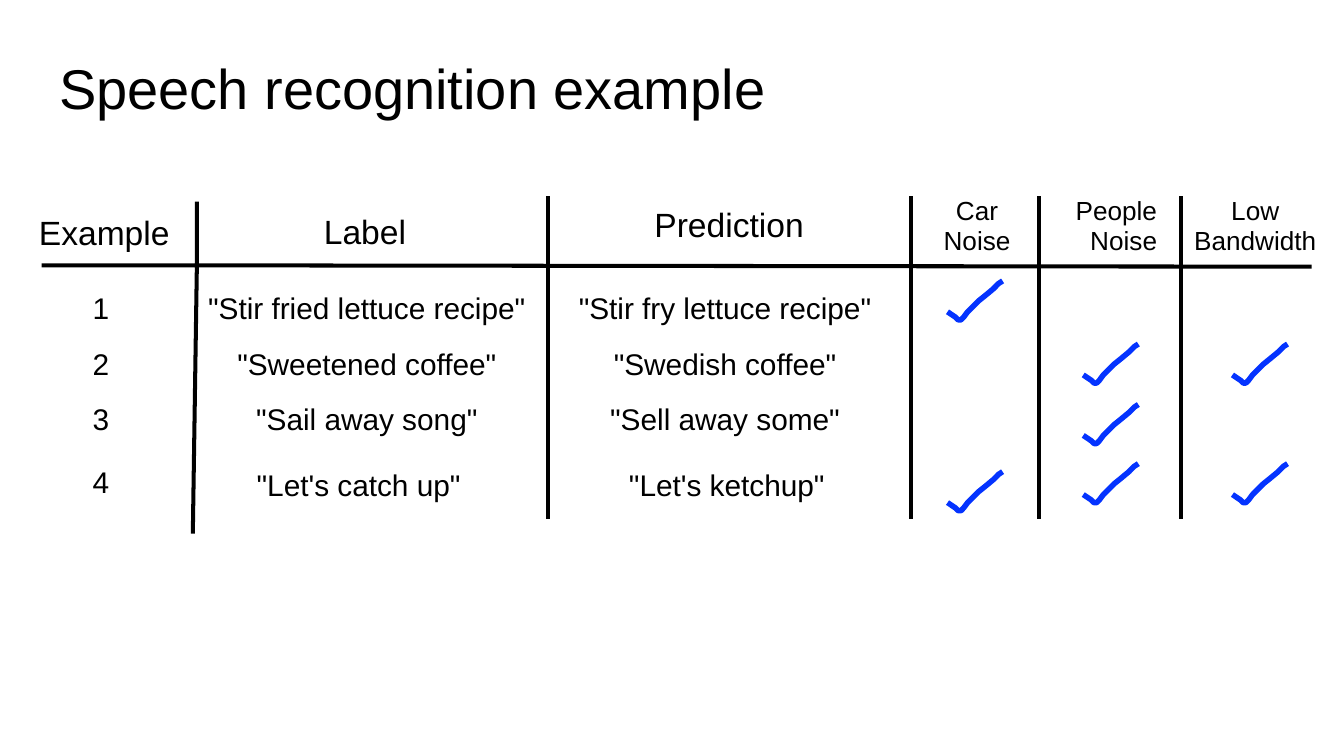
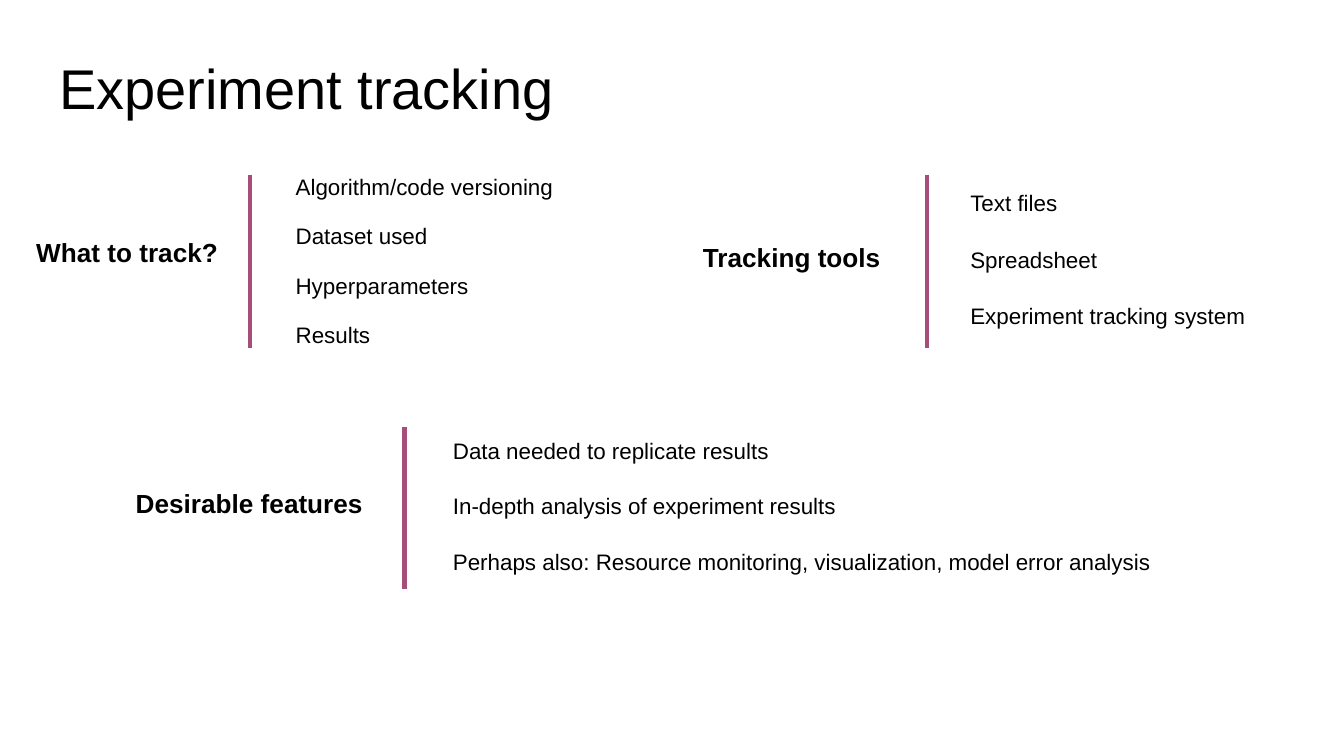
from lxml import etree
from pptx import Presentation
from pptx.dml.color import RGBColor
from pptx.enum.shapes import MSO_CONNECTOR
from pptx.enum.text import MSO_ANCHOR, MSO_AUTO_SIZE, PP_ALIGN as ALIGN
from pptx.oxml.ns import qn
from pptx.util import Inches, Pt

FONT = "Arial"
BLACK = RGBColor(0x00, 0x00, 0x00)
BLUE = RGBColor(0x04, 0x33, 0xFF)
PLUM = RGBColor(0xA6, 0x4D, 0x79)
RULE_WIDTH = 2.25

# Slide 1: (lines, box, size, alignment, exact line spacing)
HEADERS = [
    (["Example"], (0.28, 1.57, 1.0, 0.33), 18, ALIGN.LEFT, None),
    (["Label"], (2.4, 1.56, 0.64, 0.33), 18, ALIGN.LEFT, None),
    (["Prediction"], (4.86, 1.51, 1.14, 0.33), 18, ALIGN.LEFT, None),
    (["Car", "Noise"], (7.01, 1.45, 0.52, 0.48), 14, ALIGN.CENTER, 16),
    (["People", "Noise"], (7.99, 1.45, 0.63, 0.48), 14, ALIGN.RIGHT, 16),
    (["Low", "Bandwidth"], (8.87, 1.45, 0.94, 0.48), 14, ALIGN.CENTER, 16),
]
COLUMNS = [
    (["1", "2", "3"], (0.68, 2.0, 0.15, 1.28), 16, ALIGN.LEFT, 29.8),
    (['"Stir fried lettuce recipe"', '"Sweetened coffee"', '"Sail away song"'],
     (1.53, 2.0, 2.4, 1.28), 16, ALIGN.CENTER, 29.8),
    (['"Stir fry lettuce recipe"', '"Swedish coffee"', '"Sell away some"'],
     (4.29, 2.0, 2.21, 1.28), 16, ALIGN.CENTER, 29.8),
]
LAST_ROW = [
    (["4"], (0.68, 3.44, 0.15, 0.29), 16, ALIGN.LEFT, None),
    (['"Let\'s catch up"'], (1.9, 3.46, 1.55, 0.29), 16, ALIGN.LEFT, None),
    (['"Let\'s ketchup"'], (4.67, 3.46, 1.49, 0.29), 16, ALIGN.LEFT, None),
]
HEADER_RULE = [(9.76, 1.97), (1.48, 1.96), (1.48, 1.5), (1.45, 1.5), (1.45, 1.96),
               (0.31, 1.96), (0.31, 1.99), (1.45, 1.99), (1.42, 3.97), (1.45, 3.97),
               (1.48, 1.99), (9.76, 2.0)]
COLUMN_RULES = [4.08, 6.78, 7.73, 8.79]
CAR, PEOPLE, BANDWIDTH = 7.05, 8.06, 9.17
CHECKS = [(CAR, 2.09), (PEOPLE, 2.56), (BANDWIDTH, 2.56), (PEOPLE, 3.01),
          (CAR, 3.51), (PEOPLE, 3.45), (BANDWIDTH, 3.45)]
CHECK_STROKE = [(0, 0.23), (0.03, 0.25), (0.06, 0.27), (0.08, 0.29), (0.1, 0.29),
                (0.12, 0.27), (0.15, 0.23), (0.19, 0.19), (0.23, 0.15),
                (0.28, 0.11), (0.34, 0.06), (0.38, 0.02), (0.41, 0)]

# Slide 2: the items of each topic are (text, width)
TOPICS = [
    dict(heading="What to track?", box=(0.26, 1.75, 1.4, 0.26),
         bar=(1.86, 1.3, 2.59), left=2.19, tops=(1.28, 2.38),
         items=[("Algorithm/code versioning", 1.98), ("Dataset used", 1.05),
                ("Hyperparameters", 1.36), ("Results", 0.62)]),
    dict(heading="Tracking tools", box=(5.22, 1.79, 1.4, 0.26),
         bar=(6.9, 1.3, 2.59), left=7.21, tops=(1.4, 2.24),
         items=[("Text files", 0.72), ("Spreadsheet", 1.0),
                ("Experiment tracking system", 2.12)]),
    dict(heading="Desirable features", box=(1.0, 3.62, 1.76, 0.26),
         bar=(3.01, 3.18, 4.38), left=3.36, tops=(3.24, 4.07),
         items=[("Data needed to replicate results", 2.42),
                ("In-depth analysis of experiment results", 2.92),
                ("Perhaps also: Resource monitoring, visualization, "
                 "model error analysis", 5.28)]),
]


def fill_text(sp, lines, size, align=ALIGN.LEFT, spacing=None, bold=False):
    tf = sp.text_frame
    tf.word_wrap = True
    tf.auto_size = MSO_AUTO_SIZE.NONE
    tf.vertical_anchor = MSO_ANCHOR.TOP
    tf.margin_left = tf.margin_right = tf.margin_top = Inches(0.01)
    tf.margin_bottom = 0
    tf.text = "\n".join(lines)
    for p in tf.paragraphs:
        p.alignment = align
        p.space_before = Pt(0)
        if spacing:
            p.line_spacing = Pt(spacing)
        p.font.name, p.font.size, p.font.bold = FONT, Pt(size), bold
        p.font.color.rgb = BLACK


def add_text(s, lines, box, size, align=ALIGN.LEFT, spacing=None, bold=False):
    sp = s.shapes.add_textbox(*map(Inches, box))
    fill_text(sp, lines, size, align, spacing, bold)


def add_titled_slide(prs, title, width):
    s = prs.slides.add_slide(prs.slide_layouts[5])
    sp = s.shapes.title
    sp.left, sp.top, sp.width, sp.height = map(Inches, (0.43, 0.39, width, 0.53))
    fill_text(sp, [title], 30)
    return s


def add_vertical_rule(s, x, top, bottom, color):
    line = s.shapes.add_connector(MSO_CONNECTOR.STRAIGHT, Inches(x), Inches(top),
                                  Inches(x), Inches(bottom))
    line.line.color.rgb = color
    line.line.width = Pt(RULE_WIDTH)
    etree.SubElement(line._element.spPr, qn("a:effectLst"))


def add_outline(s, points, close):
    first, *rest = [(Inches(x), Inches(y)) for x, y in points]
    builder = s.shapes.build_freeform(*first)
    builder.add_line_segments(rest, close=close)
    sp = builder.convert_to_shape()
    sp.shadow.inherit = False
    return sp


def add_check(s, left, top):
    sp = add_outline(s, [(left + x, top + y) for x, y in CHECK_STROKE], close=False)
    sp.fill.background()
    sp.line.color.rgb = BLUE
    sp.line.width = Pt(2.94)


def build_speech_slide(prs):
    s = add_titled_slide(prs, "Speech recognition example", 5.32)
    rule = add_outline(s, HEADER_RULE, close=True)
    rule.fill.solid()
    rule.fill.fore_color.rgb = BLACK
    rule.line.fill.background()
    for x in COLUMN_RULES:
        add_vertical_rule(s, x, 1.46, 3.86, BLACK)
    for cell in HEADERS + COLUMNS + LAST_ROW:
        add_text(s, *cell)
    for left, top in CHECKS:
        add_check(s, left, top)


def build_tracking_slide(prs):
    s = add_titled_slide(prs, "Experiment tracking", 3.75)
    for topic in TOPICS:
        add_text(s, [topic["heading"]], topic["box"], 14, bold=True)
        add_vertical_rule(s, *topic["bar"], PLUM)
        first, last = topic["tops"]
        step = (last - first) / (len(topic["items"]) - 1)
        for i, (text, width) in enumerate(topic["items"]):
            add_text(s, [text], (topic["left"], first + i * step, width, 0.23), 12)


def main():
    prs = Presentation()
    prs.slide_width = Inches(10)
    prs.slide_height = prs.slide_width * 9 // 16
    build_speech_slide(prs)
    build_tracking_slide(prs)
    prs.save("out.pptx")


if __name__ == "__main__":
    main()
